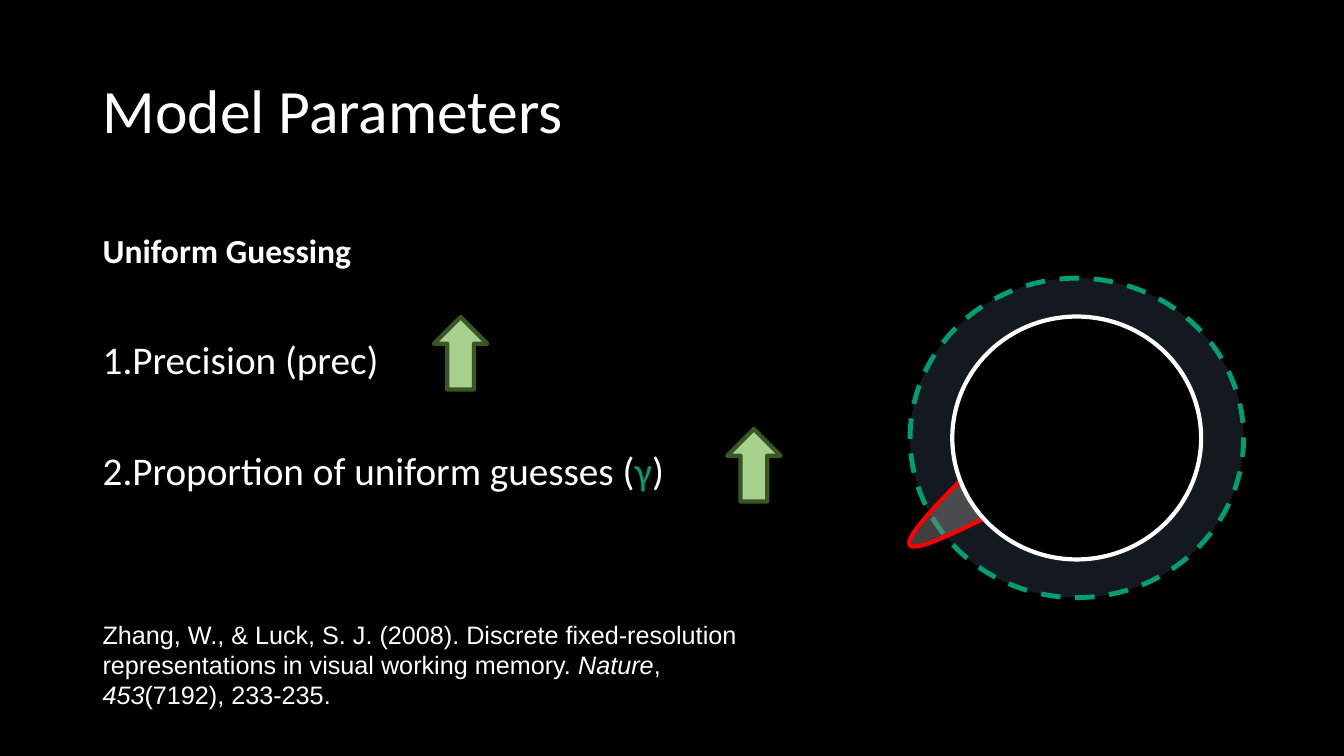
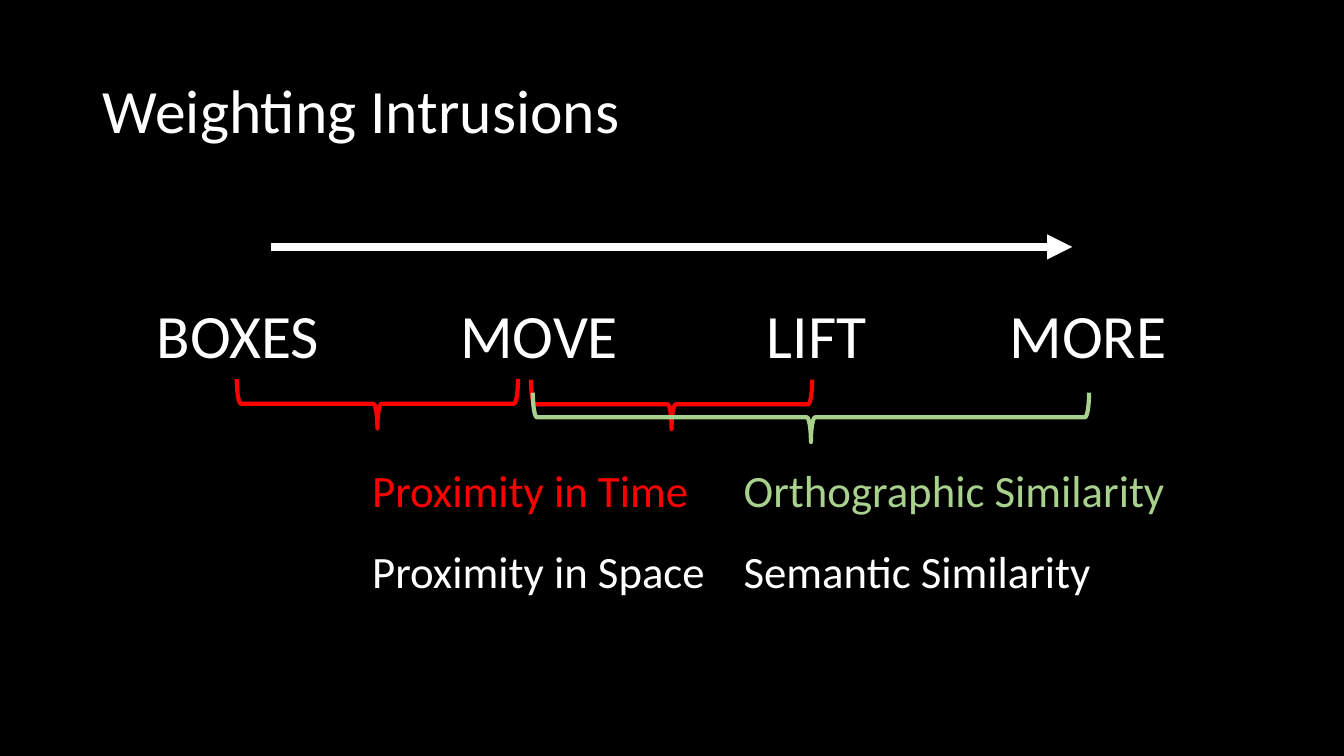
from lxml.etree import SubElement
from pptx import Presentation
from pptx.dml.color import RGBColor
from pptx.enum.dml import MSO_LINE
from pptx.enum.shapes import MSO_CONNECTOR, MSO_SHAPE
from pptx.enum.text import MSO_ANCHOR, MSO_AUTO_SIZE, PP_ALIGN
from pptx.oxml.ns import qn
from pptx.util import Pt

BLACK = RGBColor(0x00, 0x00, 0x00)
WHITE = RGBColor(0xFF, 0xFF, 0xFF)
RED = RGBColor(0xFF, 0x00, 0x00)
TEAL = RGBColor(0x00, 0x9E, 0x73)
SLATE = RGBColor(0x44, 0x54, 0x6A)
GREY = RGBColor(0x7F, 0x7F, 0x7F)
LIGHT_GREEN = RGBColor(0xA9, 0xD1, 0x8E)
DARK_GREEN = RGBColor(0x38, 0x57, 0x23)

TITLE_FONT = {"name": "Calibri", "size": Pt(44), "bold": False}
HEADING_FONT = {"name": "Calibri", "size": Pt(24), "bold": True}
LIST_FONT = {"name": "Calibri", "size": Pt(28)}
CITATION_FONT = {"name": "Arial", "size": Pt(18)}
LABEL_FONT = {"name": "Calibri", "size": Pt(32)}

TITLE_LAYOUT, TWO_CONTENT_LAYOUT = 5, 3
LEFT_MARGIN = 66.2


def write(frame, paragraph, runs, font, **spacing):
    """Fill a paragraph with (text, colour, italic) runs in one font."""
    frame.auto_size = MSO_AUTO_SIZE.NONE
    for key, value in spacing.items():
        setattr(paragraph, key, value)
    for text, colour, italic in runs:
        run = paragraph.add_run()
        run.text = text
        for key, value in font.items():
            setattr(run.font, key, value)
        run.font.italic = italic
        run.font.color.rgb = colour


def style(shape, fill, line, weight, opacity=100):
    """Give a shape its fill and outline; a fill of None leaves it hollow."""
    shape.shadow.inherit = False
    shape.line.color.rgb = line
    shape.line.width = Pt(weight)
    if fill is None:
        shape.fill.background()
        return
    shape.fill.solid()
    shape.fill.fore_color.rgb = fill
    if opacity < 100:
        colour = shape.element.spPr.find(qn("a:solidFill"))[0]
        SubElement(colour, qn("a:alpha"), val=str(opacity * 1000))


prs = Presentation()
prs.slide_width, prs.slide_height = Pt(960.25), Pt(540)
background = prs.slide_master.background.fill
background.solid()
background.fore_color.rgb = BLACK

slides = []
for heading, layout in [("Model Parameters", TWO_CONTENT_LAYOUT),
                        ("Weighting Intrusions", TITLE_LAYOUT)]:
    slide = prs.slides.add_slide(prs.slide_layouts[layout])
    title = slide.shapes.title
    title.left, title.top, title.width, title.height = Pt(LEFT_MARGIN), Pt(28.8), Pt(828), Pt(104.4)
    frame = title.text_frame
    frame.vertical_anchor = MSO_ANCHOR.MIDDLE
    write(frame, frame.paragraphs[0], [(heading, WHITE, False)], TITLE_FONT,
          alignment=PP_ALIGN.LEFT, line_spacing=0.9)
    slides.append(slide)
parameters, intrusions = slides

# Model parameters: subheading and numbered list
subheading, parameter_list = list(parameters.placeholders)[1:]
for body, top, width, height, anchor in [
        (subheading, 132.5, 406, 64.8, MSO_ANCHOR.BOTTOM),
        (parameter_list, 240, 525.6, 200, MSO_ANCHOR.TOP)]:
    body.left, body.top, body.width, body.height = Pt(LEFT_MARGIN), Pt(top), Pt(width), Pt(height)
    body.text_frame.vertical_anchor = anchor

frame = subheading.text_frame
properties = frame.paragraphs[0]._p.get_or_add_pPr()
properties.set("marL", "0")
properties.set("indent", "0")
SubElement(properties, qn("a:buNone"))
write(frame, frame.paragraphs[0], [("Uniform Guessing", WHITE, False)], HEADING_FONT,
      line_spacing=0.9, space_before=Pt(0))

frame = parameter_list.text_frame
parameter_items = [
    [("Precision (prec)", WHITE, False)],
    [("Proportion of uniform guesses (", WHITE, False), ("γ", TEAL, False), (")", WHITE, False)],
]
for index, runs in enumerate(parameter_items):
    paragraph = frame.add_paragraph() if index else frame.paragraphs[0]
    properties = paragraph._p.get_or_add_pPr()
    properties.set("marL", str(Pt(18)))
    properties.set("indent", str(-Pt(18)))
    bullet_colour = SubElement(properties, qn("a:buClr"))
    SubElement(bullet_colour, qn("a:srgbClr"), val=str(WHITE))
    SubElement(properties, qn("a:buFont"), typeface="Calibri")
    SubElement(properties, qn("a:buAutoNum"), type="arabicPeriod")
    write(frame, paragraph, runs, LIST_FONT, line_spacing=0.9, space_before=Pt(49 * index))

# Model parameters: response circle with guessing band and precision peak
guess_band = parameters.shapes.add_shape(MSO_SHAPE.OVAL, Pt(650.2), Pt(198.7), Pt(238.3), Pt(228.2))
style(guess_band, SLATE, TEAL, 3.5, opacity=30)
guess_band.line.dash_style = MSO_LINE.DASH

peak_curves = [
    [(789.1, 324.7), (722.9, 360.7), (655.9, 396.7), (650.2, 389.5)],
    [(650.2, 389.5), (643.7, 382.3), (697, 331.9), (751, 281.5)],
]
STEPS = 24
peak_points = []
for start, pull_out, pull_in, end in peak_curves:
    for step in range(STEPS + 1):
        t = step / STEPS
        weights = ((1 - t) ** 3, 3 * t * (1 - t) ** 2, 3 * t ** 2 * (1 - t), t ** 3)
        peak_points.append(tuple(
            Pt(sum(w * c for w, c in zip(weights, axis)))
            for axis in zip(start, pull_out, pull_in, end)))
peak_outline = parameters.shapes.build_freeform(*peak_points[0])
peak_outline.add_line_segments(peak_points[1:], close=False)
style(peak_outline.convert_to_shape(), GREY, RED, 3, opacity=50)

circle = parameters.shapes.add_shape(MSO_SHAPE.OVAL, Pt(680.4), Pt(226.1), Pt(177.8), Pt(173.5))
style(circle, BLACK, WHITE, 3)

citation = parameters.shapes.add_textbox(Pt(LEFT_MARGIN), Pt(438.5), Pt(498.2), Pt(72))
frame = citation.text_frame
frame.word_wrap = True
write(frame, frame.paragraphs[0], [
    ("Zhang, W., & Luck, S. J. (2008). Discrete fixed-resolution representations "
     "in visual working memory. ", WHITE, False),
    ("Nature", WHITE, True), (", ", WHITE, False), ("453", WHITE, True),
    ("(7192), 233-235.", WHITE, False)], CITATION_FONT)

for left, top in [(310, 226.4), (519.5, 306.4)]:
    increase = parameters.shapes.add_shape(MSO_SHAPE.UP_ARROW, Pt(left), Pt(top), Pt(38.2), Pt(51.8))
    style(increase, LIGHT_GREEN, DARK_GREEN, 3)

# Weighting intrusions: time arrow, words and kinds of similarity
time_arrow = intrusions.shapes.add_connector(
    MSO_CONNECTOR.STRAIGHT, Pt(193.7), Pt(176.4), Pt(766.1), Pt(176.4))
time_arrow.line.color.rgb = WHITE
time_arrow.line.width = Pt(6)
SubElement(time_arrow.line._get_or_add_ln(), qn("a:tailEnd"), type="triangle")
SubElement(time_arrow.element.spPr, qn("a:effectLst"))

WORD_TOP, LABEL_TOPS, LABEL_LEFTS = 208.8, (326.9, 384.5), (258.8, 524.2)
for text, left, top, width, font, colour in [
        ("BOXES", 105.1, WORD_TOP, 131.8, TITLE_FONT, WHITE),
        ("MOVE", 321.8, WORD_TOP, 127.4, TITLE_FONT, WHITE),
        ("LIFT", 540.7, WORD_TOP, 85.7, TITLE_FONT, WHITE),
        ("MORE", 714.2, WORD_TOP, 126.7, TITLE_FONT, WHITE),
        ("Proximity in Time", LABEL_LEFTS[0], LABEL_TOPS[0], 241.2, LABEL_FONT, RED),
        ("Orthographic Similarity", LABEL_LEFTS[1], LABEL_TOPS[0], 316.1, LABEL_FONT, LIGHT_GREEN),
        ("Proximity in Space", LABEL_LEFTS[0], LABEL_TOPS[1], 253.4, LABEL_FONT, WHITE),
        ("Semantic Similarity", LABEL_LEFTS[1], LABEL_TOPS[1], 262.8, LABEL_FONT, WHITE)]:
    height = 60.5 if font is TITLE_FONT else 46.1
    frame = intrusions.shapes.add_textbox(Pt(left), Pt(top), Pt(width), Pt(height)).text_frame
    frame.word_wrap = False
    write(frame, frame.paragraphs[0], [(text, colour, False)], font)

BRACE_DEPTH = 35.3
for left, top, span, colour in [(169.2, 270.7, 200.9, RED), (379.4, 271.1, 200.9, RED),
                                (380.7, 280.4, 397.4, LIGHT_GREEN)]:
    offset = (span - BRACE_DEPTH) / 2
    brace = intrusions.shapes.add_shape(
        MSO_SHAPE.LEFT_BRACE, Pt(left + offset), Pt(top - offset), Pt(BRACE_DEPTH), Pt(span))
    brace.rotation = 270
    style(brace, None, colour, 3)

prs.save("out.pptx")
